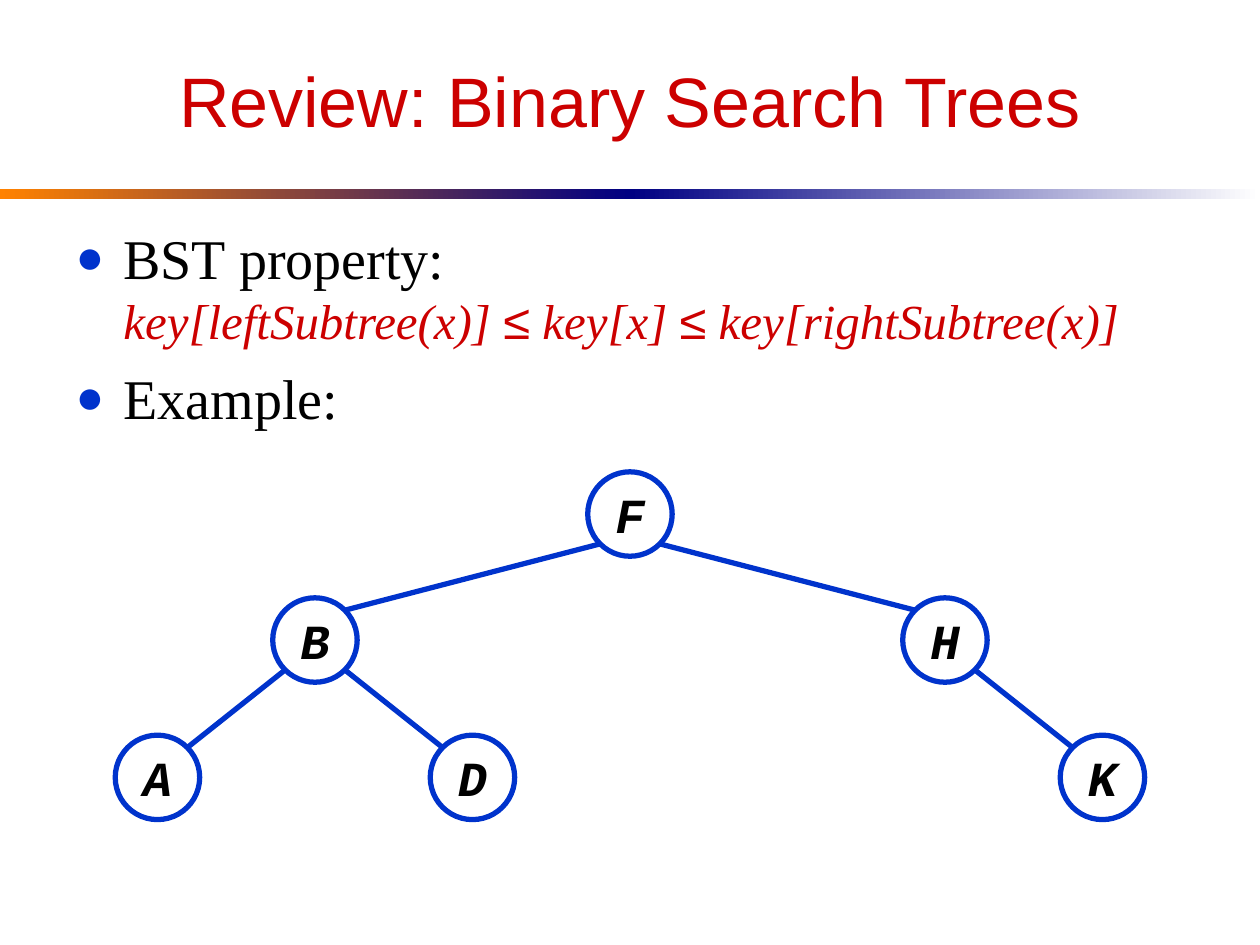
from math import sqrt

from lxml.etree import SubElement
from pptx import Presentation
from pptx.dml.color import RGBColor
from pptx.enum.shapes import MSO_CONNECTOR, MSO_SHAPE
from pptx.enum.text import MSO_ANCHOR, MSO_AUTO_SIZE, PP_ALIGN
from pptx.oxml.ns import qn
from pptx.util import Inches, Pt

RED = RGBColor(0xCC, 0x00, 0x00)
BLUE = RGBColor(0x00, 0x33, 0xCC)
NAVY = RGBColor(0x00, 0x00, 0x82)
ORANGE = RGBColor(0xFF, 0x82, 0x00)
BLACK = RGBColor(0x00, 0x00, 0x00)
WHITE = RGBColor(0xFF, 0xFF, 0xFF)

WIDTH, HEIGHT = 10, 7.5
COLUMN = WIDTH / 8
ROWS = [4.08, 5.08, 6.17]  # centre of each tree level
DIAMETER = 0.67
STROKE = Pt(3)

# key: (column, row)
NODES = {"F": (4, 0), "B": (2, 1), "H": (6, 1), "K": (7, 2), "D": (3, 2), "A": (1, 2)}
EDGES = ["BA", "BD", "FB", "FH", "HK"]


def add_text(paragraph, text, size=28, font="Times New Roman", color=BLACK,
             bold=False, italic=False):
    run = paragraph.add_run()
    run.text = text
    run.font.size = Pt(size)
    run.font.name = font
    run.font.color.rgb = color
    run.font.bold = bold
    run.font.italic = italic


def place(shape, left, top, width, height):
    shape.left, shape.top = Inches(left), Inches(top)
    shape.width, shape.height = Inches(width), Inches(height)


def add_gradient_bar(slide, left, start, end):
    bar = slide.shapes.add_shape(MSO_SHAPE.RECTANGLE, Inches(left), Inches(1.5),
                                 Inches(WIDTH / 2), Inches(0.08))
    bar.shadow.inherit = False
    bar.line.fill.background()
    bar.fill.gradient()
    bar.fill.gradient_angle = 0
    for stop, color in zip(bar.fill.gradient_stops, (start, end)):
        stop.color.rgb = color


def add_title(slide):
    title = slide.shapes.title
    place(title, 0.5, 0.25, 9, 1.08)
    frame = title.text_frame
    frame.auto_size = MSO_AUTO_SIZE.NONE
    frame.vertical_anchor = MSO_ANCHOR.MIDDLE
    heading = frame.paragraphs[0]
    heading.alignment = PP_ALIGN.CENTER
    add_text(heading, "Review: Binary Search Trees", size=40, font="Arial", color=RED)


def format_bullet(paragraph, space_before):
    paragraph.space_before = Pt(space_before)
    properties = paragraph._p.get_or_add_pPr()
    properties.set("marL", str(Inches(0.38)))
    properties.set("indent", str(Inches(-0.38)))
    color = SubElement(properties, qn("a:buClr"))
    SubElement(color, qn("a:srgbClr"), val=str(BLUE))
    SubElement(properties, qn("a:buSzPct"), val="85000")
    SubElement(properties, qn("a:buChar"), char="●")


def add_body(slide):
    body = slide.placeholders[1]
    place(body, 0.5, 1.72, 9, 4.7)
    frame = body.text_frame
    frame.auto_size = MSO_AUTO_SIZE.NONE

    bst_property = frame.paragraphs[0]
    format_bullet(bst_property, 0)
    add_text(bst_property, "BST property: ", size=32)
    bst_property.add_line_break()
    for part in ("key[leftSubtree(x)] ", "≤", " key[x] ", "≤", " key[rightSubtree(x)]"):
        font = "Arial" if part == "≤" else "Times New Roman"
        add_text(bst_property, part, font=font, color=RED, italic=True)

    example = frame.add_paragraph()
    format_bullet(example, 8)
    add_text(example, "Example:", size=32)


def center(key):
    column, row = NODES[key]
    return column * COLUMN, ROWS[row]


def add_node(slide, key):
    x, y = center(key)
    node = slide.shapes.add_shape(MSO_SHAPE.OVAL, 0, 0, 0, 0)
    place(node, x - DIAMETER / 2, y - DIAMETER / 2, DIAMETER, DIAMETER)
    node.shadow.inherit = False
    node.fill.solid()
    node.fill.fore_color.rgb = WHITE
    node.line.color.rgb = BLUE
    node.line.width = STROKE
    frame = node.text_frame
    frame.word_wrap = False
    frame.vertical_anchor = MSO_ANCHOR.MIDDLE
    label = frame.paragraphs[0]
    label.alignment = PP_ALIGN.CENTER
    add_text(label, key, font="Courier New", bold=True, italic=True)


def add_edge(slide, parent, child):
    """Join the lower diagonal point of the parent to the upper one of the child."""
    (parent_x, parent_y), (child_x, child_y) = center(parent), center(child)
    reach = DIAMETER / 2 / sqrt(2)
    side = reach if child_x > parent_x else -reach
    edge = slide.shapes.add_connector(
        MSO_CONNECTOR.STRAIGHT,
        Inches(parent_x + side), Inches(parent_y + reach),
        Inches(child_x - side), Inches(child_y - reach))
    edge.line.color.rgb = BLUE
    edge.line.width = STROKE
    SubElement(edge._element.spPr, qn("a:effectLst"))


def main():
    deck = Presentation()
    deck.slide_width, deck.slide_height = Inches(WIDTH), Inches(HEIGHT)
    slide = deck.slides.add_slide(deck.slide_layouts[1])
    add_gradient_bar(slide, 0, ORANGE, NAVY)
    add_gradient_bar(slide, WIDTH / 2, NAVY, WHITE)
    add_title(slide)
    add_body(slide)
    for key in NODES:
        add_node(slide, key)
    for parent, child in EDGES:
        add_edge(slide, parent, child)
    deck.save("out.pptx")


if __name__ == "__main__":
    main()
